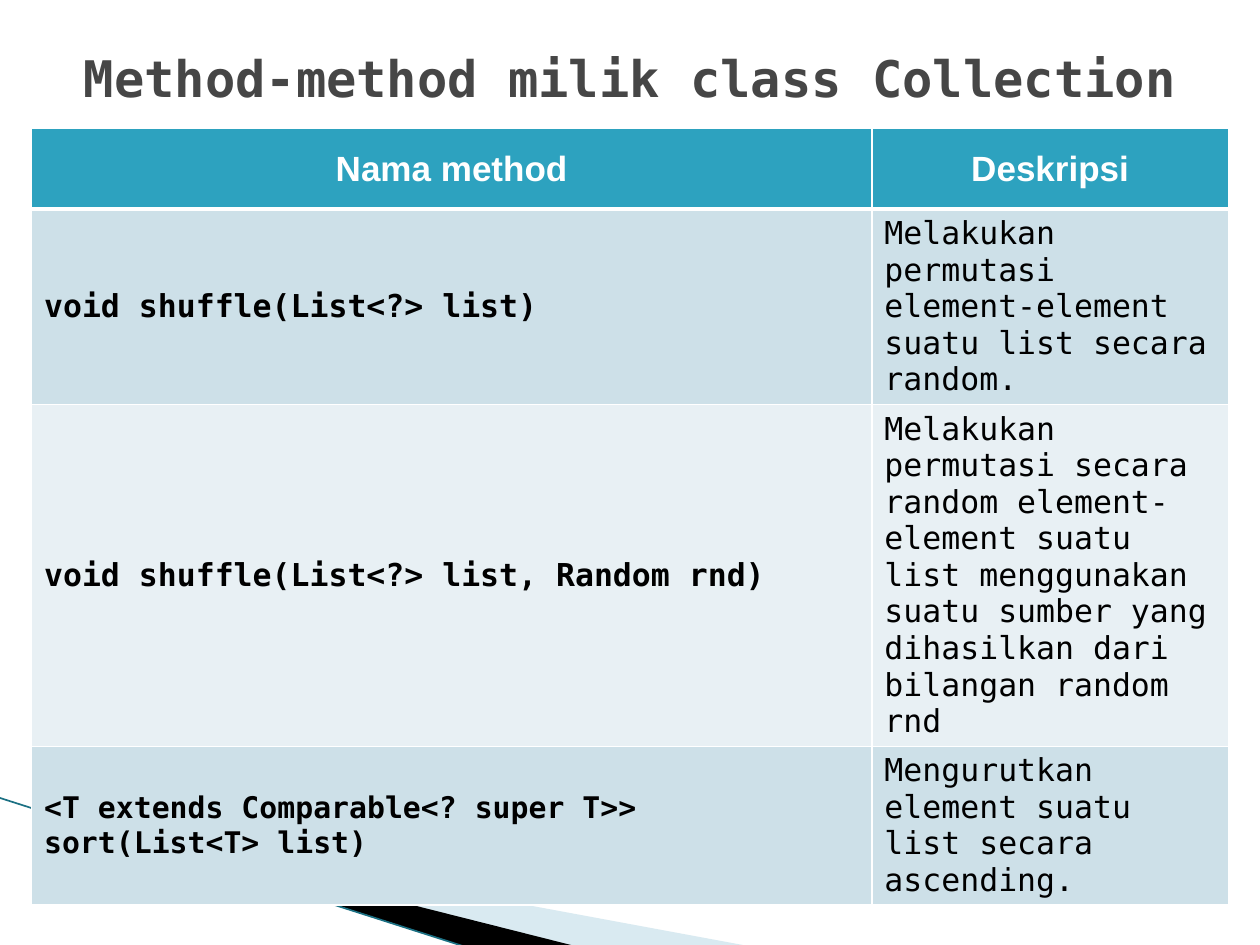
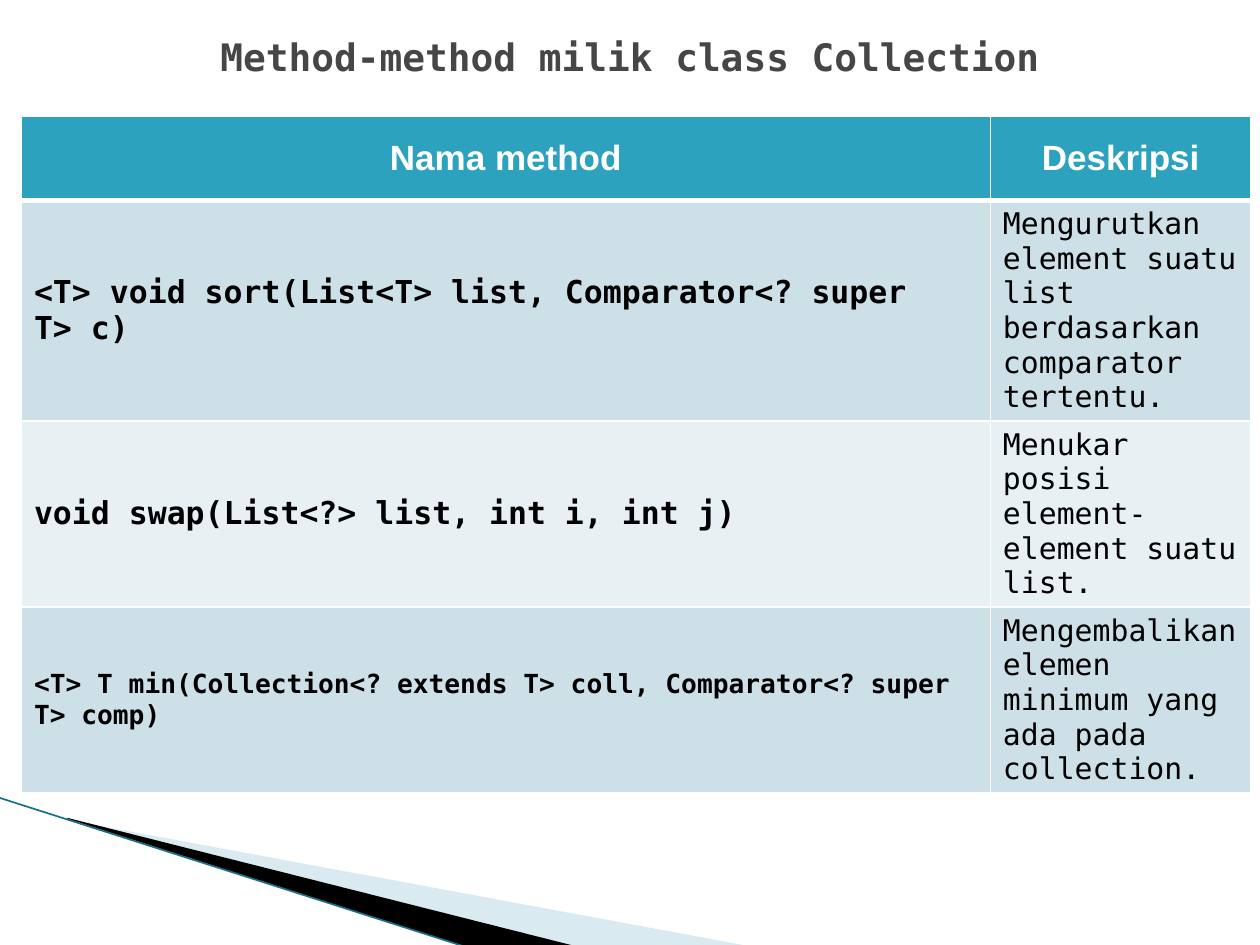
from dataclasses import dataclass

import pptx
import pptx.util
import pptx.dml.color
import pptx.enum.shapes
import pptx.enum.text
import pptx.oxml
import pptx.oxml.ns
from lxml import etree

PX = 9144
NBSP = chr(160)
TITLE_ONLY = 5


@dataclass(frozen=True)
class Theme:
    mono: str = "DejaVu Sans Mono"
    sans: str = "Arial"
    title: str = "464646"
    text: str = "000000"
    white: str = "FFFFFF"
    header: str = "2DA2BF"
    bands: tuple[str, str] = ("CDE0E8", "E8F0F4")
    pale: str = "A0CBDC"
    edge: str = "1B7083"
    header_size: float = 20
    body_size: float = 18
    compact_size: float = 17
    small_size: float = 15
    title_size: float = 28.8
    small_title_size: float = 21.6
    edge_width: float = 0.95
    border: float = 1
    header_border: float = 3


THEME = Theme()


@dataclass(frozen=True)
class Box:
    left: int
    top: int
    width: int
    height: int

    def emu(self) -> list[int]:
        return [n * PX for n in (self.left, self.top, self.width, self.height)]


@dataclass(frozen=True)
class Wedge:
    points: tuple[tuple[int, int], ...]
    color: str
    alpha: int = 100


@dataclass(frozen=True)
class Method:
    signature: str
    description: str
    signature_size: float = THEME.body_size
    description_size: float = THEME.body_size


@dataclass(frozen=True)
class MethodSlide:
    title_box: Box
    title_size: float
    table_left: int
    table_top: int
    columns: tuple[int, int]
    header_height: int
    methods: tuple[Method, ...]


TITLE = "Method-method milik class Collection"
HEADINGS = ("Nama method", "Deskripsi")
ROW_HEIGHT = 94
WEDGES = (
    Wedge(((55, 651), (595, 751), (456, 751), (55, 650)), THEME.pale, 40),
    Wedge(((53, 649), (457, 751), (372, 752), (54, 650)), THEME.text),
)
SLIDES = (
    MethodSlide(
        Box(50, 30, 900, 62), THEME.title_size, 25, 102, (667, 283), 64,
        (
            Method("void shuffle(List<?>~list)",
                   "Melakukan permutasi element-element suatu list secara random."),
            Method("void shuffle(List<?>~list, Random~rnd)",
                   "Melakukan permutasi secara random element-element suatu list "
                   "menggunakan suatu sumber yang dihasilkan dari bilangan random rnd"),
            Method("<T extends Comparable<? super T>> sort(List<T>~list)",
                   "Mengurutkan element suatu list secara ascending.",
                   THEME.compact_size),
        ),
    ),
    MethodSlide(
        Box(25, 22, 950, 45), THEME.small_title_size, 17, 92, (769, 207), 67,
        (
            Method("<T>~void sort(List<T>~list, Comparator<? super T>~c)",
                   "Mengurutkan element suatu list berdasarkan comparator tertentu.",
                   description_size=THEME.compact_size),
            Method("void swap(List<?>~list, int~i, int~j)",
                   "Menukar posisi element-element suatu list.",
                   description_size=THEME.compact_size),
            Method("<T> T min(Collection<? extends T>~coll, Comparator<? super T>~comp)",
                   "Mengembalikan elemen minimum yang ada pada collection.",
                   THEME.small_size, THEME.compact_size),
        ),
    ),
)


def rgb(color: str) -> pptx.dml.color.RGBColor:
    return pptx.dml.color.RGBColor.from_string(color)


def add_run(p, text: str, font: str, size: float, color: str, bold: bool) -> None:
    r = p.add_run()
    r.text = text
    r.font.name = font
    r.font.size = pptx.util.Pt(size)
    r.font.bold = bold
    r.font.color.rgb = rgb(color)


def draw_wedge(s, wedge: Wedge) -> None:
    start, *rest = wedge.points
    builder = s.shapes.build_freeform(*start, scale=PX)
    builder.add_line_segments(rest, close=True)
    sp = builder.convert_to_shape()
    sp.shadow.inherit = False
    sp.line.fill.background()
    sp.fill.solid()
    sp.fill.fore_color.rgb = rgb(wedge.color)
    if wedge.alpha < 100:
        color = sp._element.spPr.find(".//" + pptx.oxml.ns.qn("a:srgbClr"))
        etree.SubElement(color, pptx.oxml.ns.qn("a:alpha")).set("val", str(wedge.alpha * 1000))


def draw_corner(s) -> None:
    for wedge in WEDGES:
        draw_wedge(s, wedge)
    edge = s.shapes.add_connector(
        pptx.enum.shapes.MSO_CONNECTOR.STRAIGHT, -1 * PX, 633 * PX, 371 * PX, 752 * PX)
    edge.line.color.rgb = rgb(THEME.edge)
    edge.line.width = pptx.util.Pt(THEME.edge_width)
    etree.SubElement(edge._element.spPr, pptx.oxml.ns.qn("a:effectLst"))


def set_borders(cell, top: float, bottom: float) -> None:
    tc_pr = cell._tc.get_or_add_tcPr()
    widths = {"lnL": THEME.border, "lnR": THEME.border, "lnT": top, "lnB": bottom}
    for i, (side, width) in enumerate(widths.items()):
        line = pptx.oxml.parse_xml(
            f'<a:{side} {pptx.oxml.ns.nsdecls("a")} w="{pptx.util.Pt(width)}">'
            f'<a:solidFill><a:srgbClr val="{THEME.white}"/></a:solidFill></a:{side}>')
        tc_pr.insert(i, line)


def style_cell(cell, fill: str, top: float, bottom: float) -> None:
    cell.vertical_anchor = pptx.enum.text.MSO_ANCHOR.MIDDLE
    cell.fill.solid()
    cell.fill.fore_color.rgb = rgb(fill)
    set_borders(cell, top, bottom)


def draw_table(s, content: MethodSlide) -> None:
    methods = content.methods
    box = Box(content.table_left, content.table_top, sum(content.columns),
              content.header_height + ROW_HEIGHT * len(methods))
    table = s.shapes.add_table(len(methods) + 1, len(HEADINGS), *box.emu()).table
    for column, width in zip(table.columns, content.columns):
        column.width = width * PX
    for i, row in enumerate(table.rows):
        row.height = (ROW_HEIGHT if i else content.header_height) * PX

    for i, heading in enumerate(HEADINGS):
        cell = table.cell(0, i)
        style_cell(cell, THEME.header, THEME.border, THEME.header_border)
        p = cell.text_frame.paragraphs[0]
        p.alignment = pptx.enum.text.PP_ALIGN.CENTER
        add_run(p, heading, THEME.sans, THEME.header_size, THEME.white, True)

    for i, method in enumerate(methods):
        top = THEME.border if i else THEME.header_border
        entries = (
            (method.signature.replace("~", NBSP), method.signature_size, True),
            (method.description, method.description_size, False),
        )
        for j, (text, size, bold) in enumerate(entries):
            cell = table.cell(i + 1, j)
            style_cell(cell, THEME.bands[i % 2], top, THEME.border)
            add_run(cell.text_frame.paragraphs[0], text, THEME.mono, size, THEME.text, bold)


def draw_title(s, content: MethodSlide) -> None:
    title = s.shapes.title
    title.left, title.top, title.width, title.height = content.title_box.emu()
    tf = title.text_frame
    tf.word_wrap = True
    tf.auto_size = pptx.enum.text.MSO_AUTO_SIZE.NONE
    tf.vertical_anchor = pptx.enum.text.MSO_ANCHOR.MIDDLE
    p = tf.paragraphs[0]
    p.alignment = pptx.enum.text.PP_ALIGN.CENTER
    add_run(p, TITLE, THEME.mono, content.title_size, THEME.title, True)


def main() -> None:
    prs = pptx.Presentation()
    prs.slide_width, prs.slide_height = 1000 * PX, 750 * PX
    for content in SLIDES:
        s = prs.slides.add_slide(prs.slide_layouts[TITLE_ONLY])
        draw_corner(s)
        draw_table(s, content)
        draw_title(s, content)
    prs.save("out.pptx")


if __name__ == "__main__":
    main()
